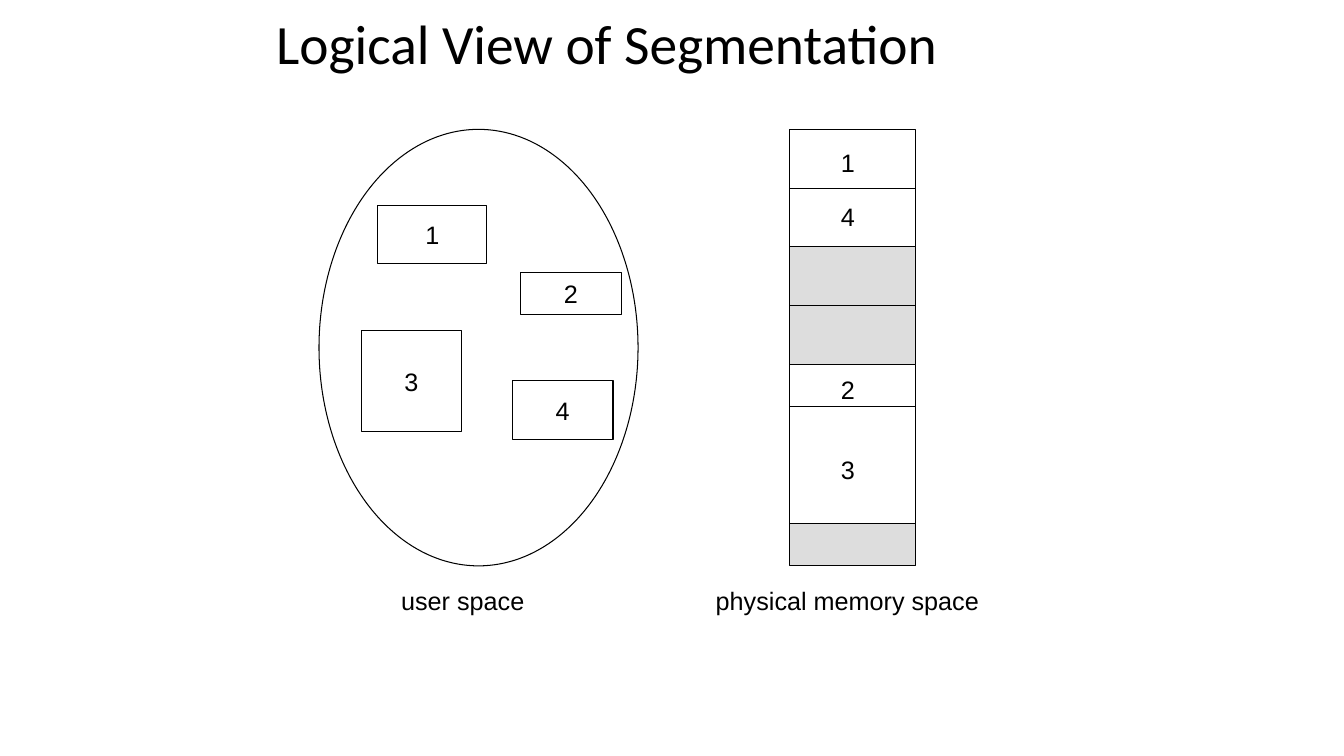
from dataclasses import dataclass

from lxml.etree import SubElement
from pptx import Presentation
from pptx.dml.color import RGBColor
from pptx.enum.shapes import MSO_CONNECTOR, MSO_SHAPE
from pptx.enum.text import MSO_ANCHOR, MSO_AUTO_SIZE, PP_ALIGN
from pptx.oxml.ns import qn
from pptx.shapes.autoshape import Shape
from pptx.shapes.connector import Connector
from pptx.slide import Slide
from pptx.util import Cm, Pt

BLACK = "000000"
WHITE = "FFFFFF"
GRAY = "DDDDDD"

COLUMN_LEFT = 19.9
COLUMN_TOP = 3.26
COLUMN_WIDTH = 3.18
LABEL_HEIGHT = 1.02

LABEL_FONT = {"name": "Arial", "size": Pt(18)}
TITLE_FONT = {"name": "Calibri", "size": Pt(39.6)}
LABEL_PARAGRAPH = {"alignment": PP_ALIGN.CENTER}
TITLE_PARAGRAPH = {"alignment": PP_ALIGN.LEFT, "line_spacing": 0.9}
SEGMENT_FRAME = {"word_wrap": False, "vertical_anchor": MSO_ANCHOR.MIDDLE}
LABEL_FRAME = SEGMENT_FRAME | {"auto_size": MSO_AUTO_SIZE.SHAPE_TO_FIT_TEXT}
TITLE_FRAME = SEGMENT_FRAME | {"word_wrap": True}


@dataclass(frozen=True)
class Box:
    left: float
    top: float
    width: float
    height: float
    text: str = ""
    fill: str = WHITE
    kind: MSO_SHAPE = MSO_SHAPE.RECTANGLE


@dataclass(frozen=True)
class MemoryBlock:
    height: float
    fill: str
    halved: bool = False


USER_SPACE = [
    Box(8.04, 3.26, 8.04, 11.0, kind=MSO_SHAPE.OVAL),
    Box(9.52, 5.17, 2.75, 1.48, "1"),
    Box(9.1, 8.33, 2.54, 2.54, "3"),
    Box(13.12, 6.86, 2.54, 1.06, "2"),
    Box(12.91, 9.6, 2.54, 1.48, "4"),
]
MEMORY_BLOCKS = [
    MemoryBlock(2.96, WHITE, True),
    MemoryBlock(2.96, GRAY, True),
    MemoryBlock(4.02, WHITE),
    MemoryBlock(1.06, GRAY),
]
LABELS = [
    Box(20.94, 3.58, 0.86, LABEL_HEIGHT, "1"),
    Box(20.94, 4.95, 0.86, LABEL_HEIGHT, "4"),
    Box(20.94, 9.3, 0.86, LABEL_HEIGHT, "2"),
    Box(20.94, 11.33, 0.86, LABEL_HEIGHT, "3"),
    Box(9.83, 14.61, 3.84, LABEL_HEIGHT, "user space "),
    Box(17.75, 14.61, 7.21, LABEL_HEIGHT, "physical memory space"),
]
TITLE = Box(6.71, 0.38, 21.67, 1.6, "Logical View of Segmentation")
SEGMENT_TWO_BOTTOM = 10.24


def color(value: str) -> RGBColor:
    return RGBColor.from_string(value)


def apply_format(target: object, values: dict) -> None:
    for name, value in values.items():
        setattr(target, name, value)


def write_text(shape: Shape, text: str, frame: dict, paragraph_format: dict, font: dict) -> None:
    text_frame = shape.text_frame
    apply_format(text_frame, frame)
    paragraph = text_frame.paragraphs[0]
    apply_format(paragraph, paragraph_format)
    run = paragraph.add_run()
    run.text = text
    apply_format(run.font, font)
    run.font.color.rgb = color(BLACK)


def outline(target: Shape | Connector) -> None:
    target.line.color.rgb = color(BLACK)
    target.line.width = Pt(0.75)


def draw_box(slide: Slide, box: Box) -> Shape:
    shape = slide.shapes.add_shape(
        box.kind, Cm(box.left), Cm(box.top), Cm(box.width), Cm(box.height)
    )
    shape.shadow.inherit = False
    shape.fill.solid()
    shape.fill.fore_color.rgb = color(box.fill)
    outline(shape)
    if box.text:
        write_text(shape, box.text, SEGMENT_FRAME, LABEL_PARAGRAPH, LABEL_FONT)
    return shape


def draw_text(slide: Slide, box: Box, frame: dict, paragraph_format: dict, font: dict) -> None:
    shape = slide.shapes.add_textbox(
        Cm(box.left), Cm(box.top), Cm(box.width), Cm(box.height)
    )
    write_text(shape, box.text, frame, paragraph_format, font)


def draw_divider(slide: Slide, top: float) -> Connector:
    connector = slide.shapes.add_connector(
        MSO_CONNECTOR.STRAIGHT,
        Cm(COLUMN_LEFT), Cm(top), Cm(COLUMN_LEFT + COLUMN_WIDTH), Cm(top),
    )
    outline(connector)
    SubElement(connector._element.spPr, qn("a:effectLst"))
    return connector


def draw_memory(slide: Slide) -> None:
    top = COLUMN_TOP
    for block in MEMORY_BLOCKS:
        shape = draw_box(
            slide, Box(COLUMN_LEFT, top, COLUMN_WIDTH, block.height, fill=block.fill)
        )
        if block.halved:
            divider = draw_divider(slide, top + block.height / 2)
            divider.begin_connect(shape, 1)
            divider.end_connect(shape, 3)
        top += block.height
    draw_divider(slide, SEGMENT_TWO_BOTTOM)


def main() -> None:
    presentation = Presentation()
    presentation.slide_width = Cm(33.87)
    presentation.slide_height = Cm(19.05)
    slide = presentation.slides.add_slide(presentation.slide_layouts[6])
    draw_text(slide, TITLE, TITLE_FRAME, TITLE_PARAGRAPH, TITLE_FONT)
    for box in USER_SPACE:
        draw_box(slide, box)
    draw_memory(slide)
    for label in LABELS:
        draw_text(slide, label, LABEL_FRAME, LABEL_PARAGRAPH, LABEL_FONT)
    presentation.save("out.pptx")


if __name__ == "__main__":
    main()
